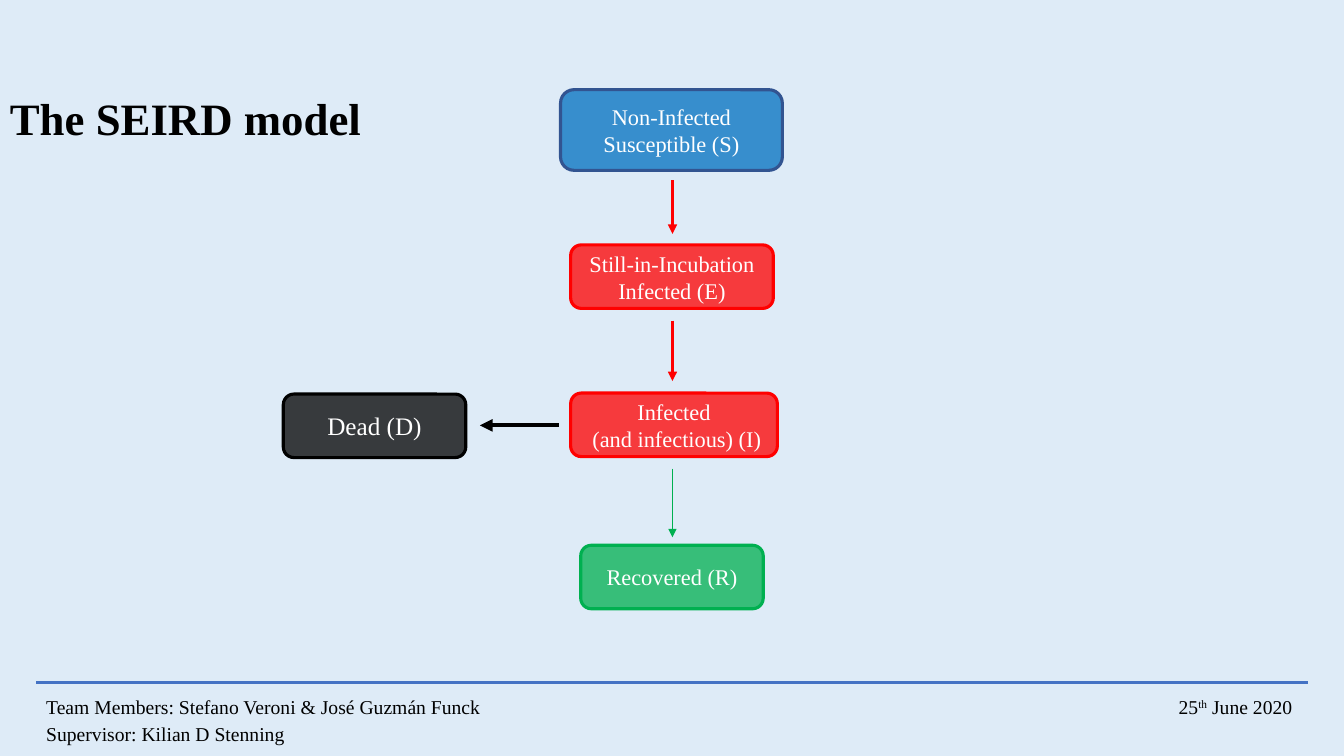
from dataclasses import dataclass

from lxml.etree import SubElement
from pptx import Presentation
from pptx.dml.color import RGBColor
from pptx.enum.shapes import MSO_CONNECTOR, MSO_SHAPE
from pptx.enum.text import MSO_ANCHOR, PP_ALIGN
from pptx.oxml.ns import qn
from pptx.shapes.autoshape import Shape
from pptx.slide import Slide
from pptx.text.text import _Paragraph
from pptx.util import Inches, Pt

FONT = "Times New Roman"
COLOURS = {
    "background": "DEEBF7",
    "rule": "4472C4",
    "susceptible": "0070C0",
    "susceptible_edge": "325491",
    "infected": "FF0000",
    "dead": "000000",
    "recovered": "00B050",
    "text": "000000",
    "box_text": "FFFFFF",
}
CENTRE = 6.67


@dataclass
class Compartment:
    lines: list[str]
    left: float
    top: float
    width: float
    fill: str
    edge: str
    height: float = 0.63
    size: float = 16


@dataclass
class Line:
    start: tuple[float, float]
    end: tuple[float, float]
    colour: str
    width: float = 2.25
    arrow: bool = True


COMPARTMENTS = [
    Compartment(["Non-Infected Susceptible (S)"], 5.56, 0.89, 2.2,
                "susceptible", "susceptible_edge", height=0.8),
    Compartment(["Still-in-Incubation Infected (E)"], 5.66, 2.43, 2.01, "infected", "infected"),
    Compartment(["Infected", " (and infectious) (I)"], 5.66, 3.9, 2.05, "infected", "infected"),
    Compartment(["Dead (D)"], 2.81, 3.91, 1.81, "dead", "dead", size=18),
    Compartment(["Recovered (R)"], 5.76, 5.41, 1.81, "recovered", "recovered"),
]
LINES = [
    Line((0.36, 6.77), (12.97, 6.77), "rule", arrow=False),
    Line((CENTRE, 1.79), (CENTRE, 2.32), "infected"),
    Line((CENTRE, 3.18), (CENTRE, 3.78), "infected"),
    Line((CENTRE, 4.65), (CENTRE, 5.33), "recovered", width=0.5),
    Line((5.54, 4.22), (4.76, 4.22), "dead", width=3),
]


def colour(name: str) -> RGBColor:
    return RGBColor.from_string(COLOURS[name])


def add_text(paragraph: _Paragraph, text: str, *, size: float, fill: str = "text",
             bold: bool = False, superscript: bool = False) -> None:
    run = paragraph.add_run()
    run.text = text
    run.font.name = FONT
    run.font.size = Pt(size)
    run.font.bold = bold
    run.font.color.rgb = colour(fill)
    if superscript:
        run.font._element.set("baseline", "30000")


def add_text_box(slide: Slide, left: float, top: float, width: float, height: float) -> Shape:
    shape = slide.shapes.add_textbox(Inches(left), Inches(top), Inches(width), Inches(height))
    shape.text_frame.word_wrap = True
    return shape


def draw_compartment(slide: Slide, box: Compartment) -> None:
    shape = slide.shapes.add_shape(
        MSO_SHAPE.ROUNDED_RECTANGLE,
        Inches(box.left), Inches(box.top), Inches(box.width), Inches(box.height))
    shape.shadow.inherit = False
    shape.fill.solid()
    shape.fill.fore_color.rgb = colour(box.fill)
    fill_colour = shape._element.spPr.find(qn("a:solidFill")).find(qn("a:srgbClr"))
    SubElement(fill_colour, qn("a:alpha"), val="75000")
    shape.line.color.rgb = colour(box.edge)
    shape.line.width = Pt(2.25)
    frame = shape.text_frame
    frame.word_wrap = True
    frame.vertical_anchor = MSO_ANCHOR.MIDDLE
    for index, text in enumerate(box.lines):
        paragraph = frame.add_paragraph() if index else frame.paragraphs[0]
        paragraph.alignment = PP_ALIGN.CENTER
        add_text(paragraph, text, size=box.size, fill="box_text")


def draw_line(slide: Slide, line: Line) -> None:
    connector = slide.shapes.add_connector(
        MSO_CONNECTOR.STRAIGHT, *map(Inches, line.start + line.end))
    connector.line.color.rgb = colour(line.colour)
    connector.line.width = Pt(line.width)
    if line.arrow:
        SubElement(connector.line._get_or_add_ln(), qn("a:tailEnd"), type="triangle")
    SubElement(connector._element.spPr, qn("a:effectLst"))


def draw_title(slide: Slide) -> None:
    title = add_text_box(slide, 0, 0.85, 3.83, 0.64)
    add_text(title.text_frame.paragraphs[0], "The SEIRD model", size=32, bold=True)


def draw_footer(slide: Slide) -> None:
    frame = add_text_box(slide, 0.36, 6.89, 12.7, 0.58).text_frame
    members, supervisor = frame.paragraphs[0], frame.add_paragraph()
    for paragraph in (members, supervisor):
        paragraph.line_spacing = 0.8
        paragraph.space_after = Pt(6)
    tab_stops = SubElement(members._p.get_or_add_pPr(), qn("a:tabLst"))
    SubElement(tab_stops, qn("a:tab"), pos=str(Inches(12.36)), algn="r")
    add_text(members, "Team Members: Stefano Veroni & José Guzmán Funck\t25", size=14)
    add_text(members, "th", size=14, superscript=True)
    add_text(members, " June 2020", size=14)
    add_text(supervisor, "Supervisor: Kilian D Stenning", size=14)


def main() -> None:
    presentation = Presentation()
    presentation.slide_width = Inches(13.33)
    presentation.slide_height = Inches(7.5)
    slide = presentation.slides.add_slide(presentation.slide_layouts[6])
    slide.background.fill.solid()
    slide.background.fill.fore_color.rgb = colour("background")
    draw_title(slide)
    draw_footer(slide)
    for box in COMPARTMENTS:
        draw_compartment(slide, box)
    for line in LINES:
        draw_line(slide, line)
    presentation.save("out.pptx")


if __name__ == "__main__":
    main()
